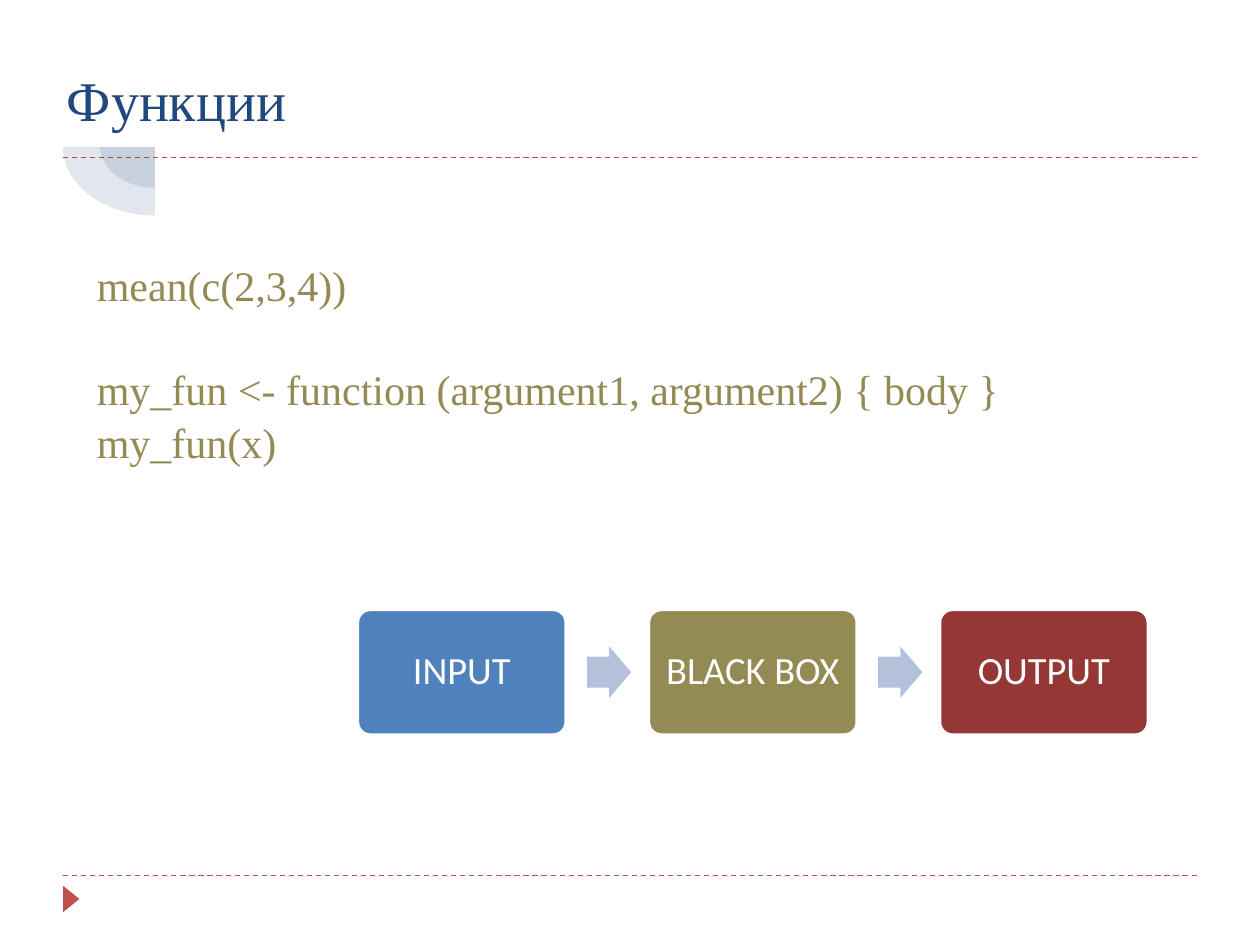
from dataclasses import dataclass

from pptx import Presentation
from pptx.dml.color import RGBColor
from pptx.enum.dml import MSO_LINE_DASH_STYLE as Dash
from pptx.enum.shapes import MSO_CONNECTOR as Connector, MSO_SHAPE as Preset
from pptx.enum.text import MSO_ANCHOR as Anchor, PP_ALIGN as Align
from pptx.oxml.ns import qn
from pptx.shapes.autoshape import Shape
from pptx.slide import Slide
from pptx.text.text import TextFrame, _Paragraph as Paragraph
from pptx.util import Inches, Pt
from lxml.etree import SubElement

COLUMNS, ROWS = 100, 75
SLIDE_WIDTH, SLIDE_HEIGHT = Inches(10), Inches(7.5)


@dataclass(frozen=True)
class Theme:
    serif: str = "Times New Roman"
    sans: str = "Calibri"
    title_size: int = 32
    code_size: int = 24
    step_size: int = 22
    navy: str = "1F497D"
    olive: str = "948A54"
    blue: str = "4F81BD"
    red: str = "C0504D"
    dark_red: str = "953735"
    arrow: str = "B3C1DB"
    white: str = "FFFFFF"


@dataclass(frozen=True)
class Area:
    """A rectangle in grid columns and rows."""
    left: float
    top: float
    width: float
    height: float

    def lengths(self) -> tuple[int, int, int, int]:
        return (across(self.left), down(self.top),
                across(self.width), down(self.height))


@dataclass(frozen=True)
class Step:
    label: str
    fill: str


@dataclass(frozen=True)
class CodeLine:
    text: str
    space_before: float = 0


THEME = Theme()
RULE_ROWS = (12.5, 69.5)
CORNER_CENTER = (12.3, 11.65)
CORNER_SIZES = ((8.7, 6.5), (14.6, 10.9))
FIRST_STEP = Area(28.4, 48.4, 16.5, 9.9)
STEP_PITCH = 23.1
ARROW_OFFSET, ARROW_WIDTH, ARROW_HEIGHT = 18.2, 3.5, 4.1
STEPS = (
    Step("INPUT", THEME.blue),
    Step("BLACK BOX", THEME.olive),
    Step("OUTPUT", THEME.dark_red),
)
CODE = (
    CodeLine("mean(c(2,3,4))"),
    CodeLine("my_fun <- function (argument1, argument2) { body }", 29),
    CodeLine("my_fun(x)"),
)


def across(columns: float) -> int:
    return round(SLIDE_WIDTH * columns / COLUMNS)


def down(rows: float) -> int:
    return round(SLIDE_HEIGHT * rows / ROWS)


def add_run(paragraph: Paragraph, text: str, font: str, size: int, color: str) -> None:
    run = paragraph.add_run()
    run.text = text
    run.font.name = font
    run.font.size = Pt(size)
    run.font.color.rgb = RGBColor.from_string(color)


def set_frame(frame: TextFrame, inset: float, anchor: Anchor) -> None:
    frame.word_wrap = True
    frame.vertical_anchor = anchor
    frame.margin_left = frame.margin_right = Inches(inset)
    frame.margin_top = frame.margin_bottom = Inches(inset)


def add_preset(slide: Slide, preset: Preset, area: Area, fill: str,
               adjustments: tuple[float, ...] = ()) -> Shape:
    """Add a filled preset shape without outline or shadow."""
    shape = slide.shapes.add_shape(preset, *area.lengths())
    shape.shadow.inherit = False
    shape.fill.solid()
    shape.fill.fore_color.rgb = RGBColor.from_string(fill)
    shape.line.fill.background()
    for index, value in enumerate(adjustments):
        shape.adjustments[index] = value
    return shape


def add_rule(slide: Slide, row: float) -> None:
    rule = slide.shapes.add_connector(
        Connector.STRAIGHT, across(5), down(row), across(95), down(row))
    rule.line.color.rgb = RGBColor.from_string(THEME.red)
    rule.line.width = Pt(0.75)
    rule.line.dash_style = Dash.DASH
    SubElement(rule._element.spPr, qn("a:effectLst"))


def add_corner(slide: Slide, width: float, height: float) -> None:
    """Add a translucent lower-left quarter of an ellipse."""
    center_x, center_y = CORNER_CENTER
    area = Area(center_x - width / 2, center_y - height / 2, width, height)
    # Pie angles: 90 and 180 degrees, in units of 5/3 degree
    quarter = add_preset(slide, Preset.PIE, area, THEME.navy, (54, 108))
    color = quarter._element.spPr.find(qn("a:solidFill")).find(qn("a:srgbClr"))
    SubElement(color, qn("a:alpha")).set("val", "13000")


def add_title(slide: Slide, text: str) -> None:
    title = slide.shapes.title
    title.left, title.top, title.width, title.height = Area(4.3, 3.6, 76.9, 14.6).lengths()
    set_frame(title.text_frame, 0.1, Anchor.TOP)
    title.text_frame.margin_top = Inches(0.16)
    paragraph = title.text_frame.paragraphs[0]
    paragraph.alignment = Align.LEFT
    add_run(paragraph, text, THEME.serif, THEME.title_size, THEME.navy)


def add_code(slide: Slide) -> None:
    frame = slide.shapes.add_textbox(*Area(6.7, 19.4, 76.9, 41).lengths()).text_frame
    set_frame(frame, 0.1, Anchor.TOP)
    for index, line in enumerate(CODE):
        paragraph = frame.add_paragraph() if index else frame.paragraphs[0]
        paragraph.line_spacing = 1.05
        paragraph.space_before = Pt(line.space_before)
        add_run(paragraph, line.text, THEME.serif, THEME.code_size, THEME.olive)


def add_step(slide: Slide, step: Step, area: Area) -> None:
    box = add_preset(slide, Preset.ROUNDED_RECTANGLE, area, step.fill, (0.1,))
    box.line.color.rgb = RGBColor.from_string(THEME.white)
    box.line.width = Pt(1.5)
    set_frame(box.text_frame, 0.09, Anchor.MIDDLE)
    paragraph = box.text_frame.paragraphs[0]
    paragraph.alignment = Align.CENTER
    paragraph.line_spacing = 0.9
    add_run(paragraph, step.label, THEME.sans, THEME.step_size, THEME.white)


def add_flow(slide: Slide) -> None:
    first = FIRST_STEP
    arrow_top = first.top + (first.height - ARROW_HEIGHT) / 2
    for index, step in enumerate(STEPS):
        left = first.left + index * STEP_PITCH
        if index:
            arrow_left = left - STEP_PITCH + ARROW_OFFSET
            add_preset(slide, Preset.RIGHT_ARROW,
                       Area(arrow_left, arrow_top, ARROW_WIDTH, ARROW_HEIGHT),
                       THEME.arrow, (0.6, 0.5))
        add_step(slide, step, Area(left, first.top, first.width, first.height))


def main() -> None:
    presentation = Presentation()
    presentation.slide_width, presentation.slide_height = SLIDE_WIDTH, SLIDE_HEIGHT
    slide = presentation.slides.add_slide(
        presentation.slide_layouts.get_by_name("Title Only"))
    for row in RULE_ROWS:
        add_rule(slide, row)
    marker = add_preset(slide, Preset.ISOSCELES_TRIANGLE,
                        Area(4.6, 70.7, 2.1, 1.3), THEME.red)
    marker.rotation = 90
    for width, height in CORNER_SIZES:
        add_corner(slide, width, height)
    add_title(slide, "Функции")
    add_code(slide)
    add_flow(slide)
    presentation.save("out.pptx")


if __name__ == "__main__":
    main()
